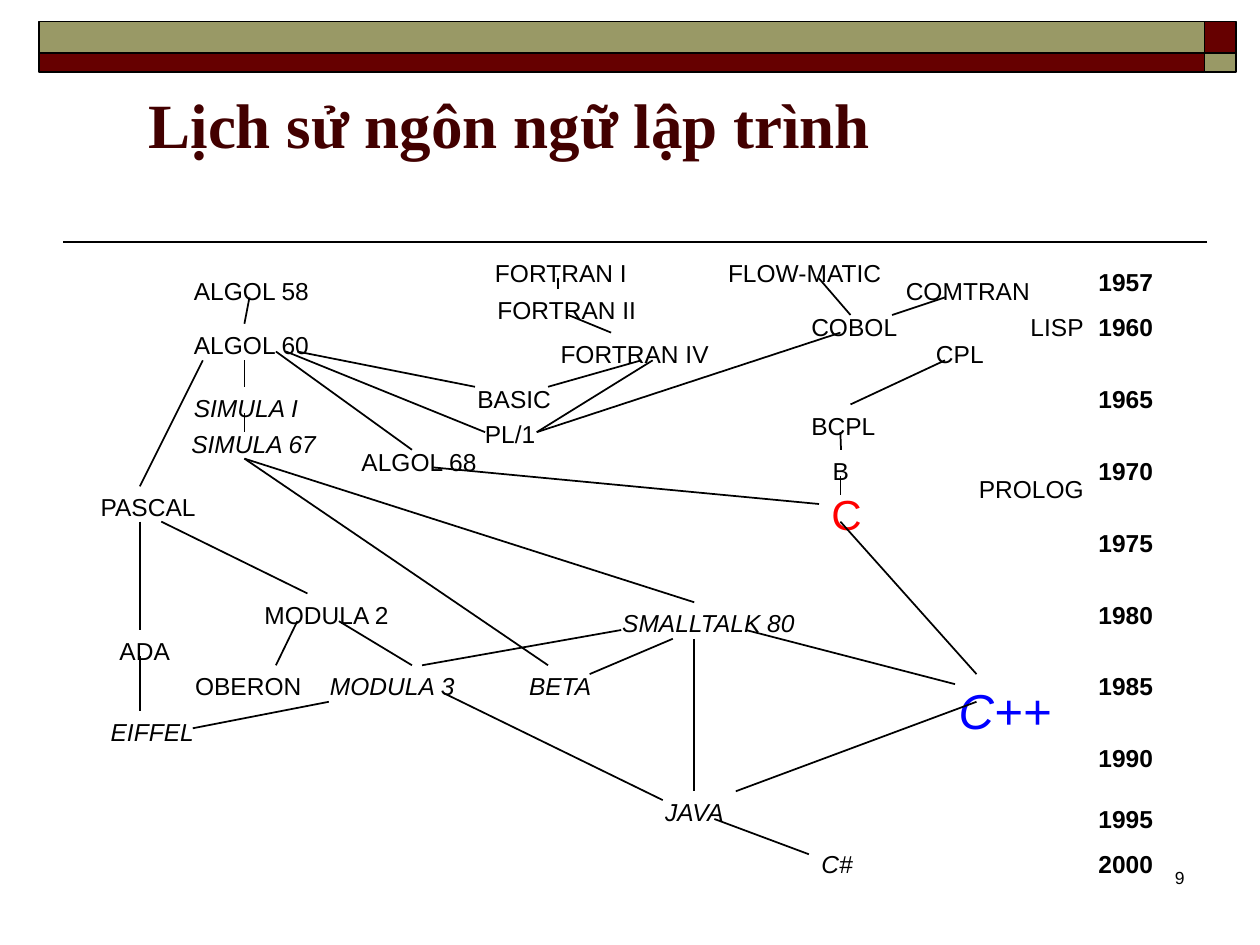
from typing import NamedTuple

import pptx
import pptx.dml.color
import pptx.enum.shapes
import pptx.enum.text
import pptx.util
from lxml import etree
from pptx.util import Inches

BLACK = "000000"
MAROON = "660000"
OLIVE = "999966"


class Bar(NamedTuple):
    left: float
    top: float
    width: float
    height: float
    fill: str


class Label(NamedTuple):
    text: str
    left: float
    top: float
    width: float
    italic: bool = False
    bold: bool = False
    size: int = 14
    color: str = BLACK
    height: float = 0.34


class Link(NamedTuple):
    x1: float
    y1: float
    x2: float
    y2: float
    target: str = ""


BARS = [
    Bar(left, top, width, height, fill)
    for top, height, fills in ((0.17, 0.25, (OLIVE, MAROON)), (0.42, 0.15, (MAROON, OLIVE)))
    for left, width, fill in zip((0.31, 9.56), (9.25, 0.25), fills)
]

LANGUAGES = [
    Label("FORTRAN I", 3.83, 2.0, 1.25),
    Label("FORTRAN II", 3.85, 2.29, 1.3),
    Label("ALGOL 60", 1.44, 2.57, 1.12),
    Label("LISP", 8.08, 2.43, 0.62),
    Label("ALGOL 58", 1.44, 2.14, 1.12),
    Label("CPL", 7.33, 2.64, 0.58),
    Label("COBOL", 6.34, 2.43, 0.88),
    Label("COMTRAN", 7.09, 2.14, 1.18),
    Label("FLOW-MATIC", 5.68, 2.0, 1.43),
    Label("PROLOG", 7.67, 3.71, 1.03),
    Label("ADA", 0.85, 5.0, 0.6),
    Label("PASCAL", 0.7, 3.86, 0.97),
    Label("SIMULA 67", 1.42, 3.36, 1.19, italic=True),
    Label("SIMULA I", 1.44, 3.07, 1.03, italic=True),
    Label("PL/1", 3.75, 3.28, 0.6),
    Label("BASIC", 3.69, 3.0, 0.78),
    Label("FORTRAN IV", 4.35, 2.64, 1.38),
    Label("B", 6.51, 3.57, 0.33),
    Label("BCPL", 6.34, 3.21, 0.71),
    Label("ALGOL 68", 2.77, 3.5, 1.12),
    Label("SMALLTALK 80", 4.84, 4.78, 1.6, italic=True),
    Label("EIFFEL", 0.78, 5.64, 0.86, italic=True),
    Label("C++", 7.51, 5.35, 0.93, italic=True, size=28, color="0000FF", height=0.57),
    Label("C", 6.5, 3.83, 0.44, size=24, color="FF0000", height=0.5),
    Label("BETA", 4.1, 5.28, 0.71, italic=True),
    Label("JAVA", 5.18, 6.28, 0.69, italic=True),
    Label("MODULA 2", 2.0, 4.71, 1.19),
    Label("MODULA 3", 2.52, 5.28, 1.19, italic=True),
    Label("OBERON", 1.45, 5.28, 1.04),
    Label("C#", 6.42, 6.69, 0.45, italic=True),
]

YEAR_TOPS = {
    1957: 2.07,
    1960: 2.43,
    **{1965 + 5 * step: 3 + 0.57 * step for step in range(6)},
    1995: 6.33,
    2000: 6.69,
}
YEARS = [Label(str(year), 8.62, top, 0.63, bold=True) for year, top in YEAR_TOPS.items()]

LINKS = [
    Link(6.5, 2.21, 6.75, 2.5),
    Link(7.5, 2.36, 7.08, 2.5),
    Link(7.5, 2.86, 6.75, 3.21),
    Link(6.67, 3.43, 6.67, 3.57, "B"),
    Link(6.67, 3.78, 6.67, 3.93),
    Link(6.67, 4.14, 7.75, 5.35),
    Link(4.43, 2.21, 4.43, 2.29),
    Link(4.51, 2.5, 4.85, 2.64),
    Link(1.98, 2.36, 1.94, 2.57),
    Link(1.94, 3.28, 1.94, 3.43),
    Link(2.36, 2.79, 3.77, 3.07),
    Link(2.27, 2.79, 3.85, 3.43),
    Link(2.19, 2.79, 3.27, 3.57),
    Link(1.61, 2.86, 1.11, 3.86),
    Link(1.94, 2.86, 1.94, 3.07),
    Link(3.44, 3.71, 6.5, 4.0),
    Link(1.11, 4.14, 1.11, 5.0),
    Link(1.11, 5.21, 1.11, 5.64),
    Link(1.28, 4.14, 2.44, 4.71),
    Link(1.94, 3.64, 5.51, 4.78),
    Link(4.35, 5.28, 1.94, 3.64),
    Link(5.51, 5.07, 5.51, 6.28),
    Link(5.92, 5.0, 7.58, 5.43),
    Link(5.34, 5.07, 4.68, 5.35),
    Link(2.69, 4.93, 3.27, 5.28),
    Link(7.75, 5.57, 5.84, 6.28),
    Link(3.52, 5.5, 5.26, 6.35),
    Link(1.53, 5.78, 2.61, 5.57),
    Link(6.67, 2.64, 4.26, 3.43),
    Link(5.09, 2.86, 4.35, 3.07),
    Link(5.18, 2.86, 4.26, 3.43),
    Link(2.36, 4.93, 2.19, 5.28),
    Link(4.93, 5.0, 3.35, 5.28),
    Link(5.67, 6.5, 6.42, 6.78),
]


def rgb(color: str) -> pptx.dml.color.RGBColor:
    return pptx.dml.color.RGBColor.from_string(color)


def style_font(font, name: str, size: int, color: str, bold=False, italic=False) -> None:
    font.name, font.size = name, pptx.util.Pt(size)
    font.bold, font.italic = bold, italic
    font.color.rgb = rgb(color)


def style_line(line) -> None:
    line.color.rgb = rgb(BLACK)
    line.width = pptx.util.Pt(1)


def draw_bar(page, bar: Bar) -> None:
    shape = page.shapes.add_shape(
        pptx.enum.shapes.MSO_SHAPE.RECTANGLE, *map(Inches, bar[:4]))
    shape.shadow.inherit = False
    shape.fill.solid()
    shape.fill.fore_color.rgb = rgb(bar.fill)
    style_line(shape.line)


def draw_label(page, label: Label):
    box = page.shapes.add_textbox(
        *map(Inches, (label.left, label.top, label.width, label.height)))
    box.text_frame.word_wrap = False
    box.text_frame.auto_size = pptx.enum.text.MSO_AUTO_SIZE.SHAPE_TO_FIT_TEXT
    box.text_frame.margin_right = Inches(0.05)
    para = box.text_frame.paragraphs[0]
    para.text = label.text
    style_font(para.font, "Arial", label.size, label.color, label.bold, label.italic)
    return box


def draw_link(page, link: Link, boxes: dict) -> None:
    connector = page.shapes.add_connector(
        pptx.enum.shapes.MSO_CONNECTOR.STRAIGHT, *map(Inches, link[:4]))
    style_line(connector.line)
    properties = connector._element.spPr
    etree.SubElement(properties, pptx.oxml.ns.qn("a:effectLst"))
    if link.target:
        connector.end_connect(boxes[link.target], 0)


def draw_title(page) -> None:
    title = page.shapes.title
    title.left, title.top, title.width, title.height = map(Inches, (1.08, 0.08, 8.08, 1.25))
    title.text_frame.vertical_anchor = pptx.enum.text.MSO_ANCHOR.BOTTOM
    para = title.text_frame.paragraphs[0]
    para.text = "Lịch sử ngôn ngữ lập trình"
    para.alignment = pptx.enum.text.PP_ALIGN.LEFT
    style_font(para.font, "Times New Roman", 36, "420000", bold=True)


def draw_page_number(page) -> None:
    box = draw_label(page, Label("9", 7.42, 6.83, 2.08, size=10, height=0.5))
    box.text_frame.word_wrap = True
    box.text_frame.auto_size = pptx.enum.text.MSO_AUTO_SIZE.NONE
    box.text_frame.margin_right = Inches(0.1)
    box.text_frame.paragraphs[0].alignment = pptx.enum.text.PP_ALIGN.RIGHT


def main() -> None:
    deck = pptx.Presentation()
    deck.slide_width, deck.slide_height = Inches(10), Inches(7.5)
    page = deck.slides.add_slide(deck.slide_layouts[5])
    draw_link(page, Link(9.58, 1.92, 0.5, 1.92), {})
    for bar in BARS:
        draw_bar(page, bar)
    draw_title(page)
    draw_page_number(page)
    boxes = {label.text: draw_label(page, label) for label in LANGUAGES + YEARS}
    for link in LINKS:
        draw_link(page, link, boxes)
    deck.save("out.pptx")


if __name__ == "__main__":
    main()
